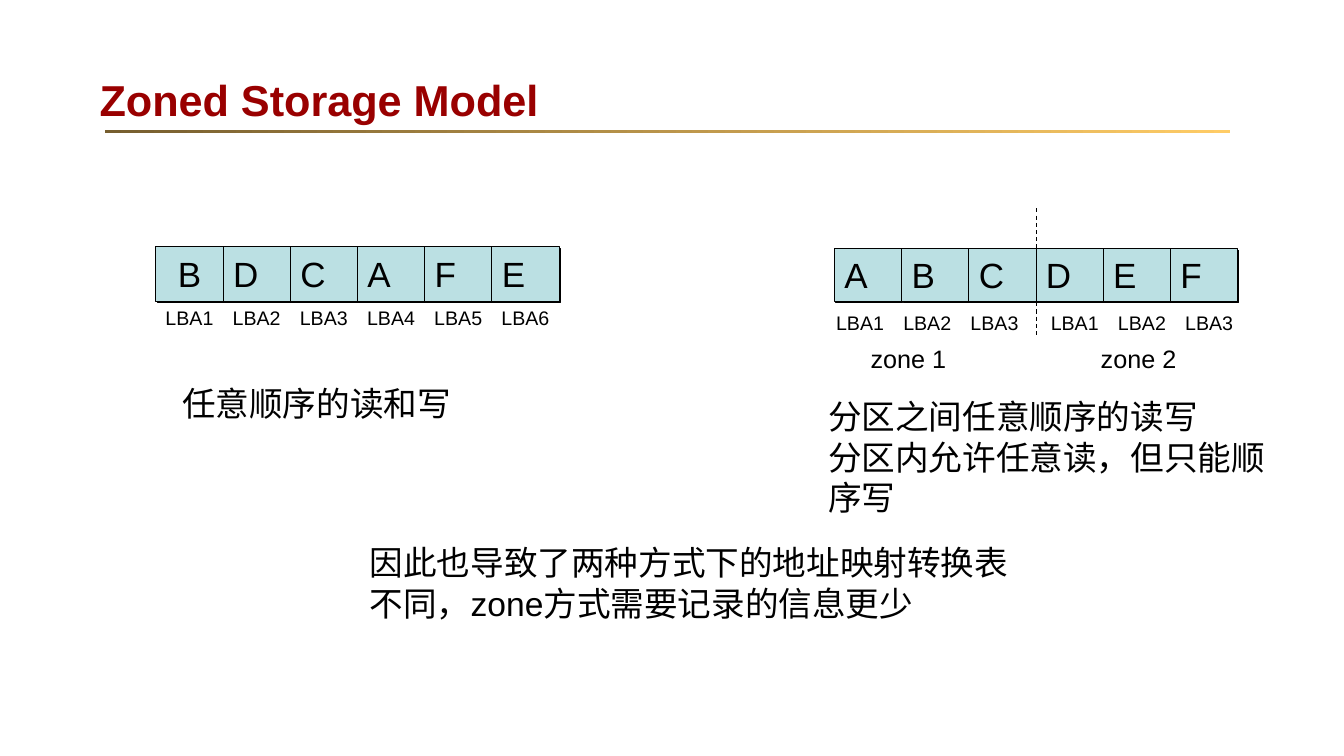
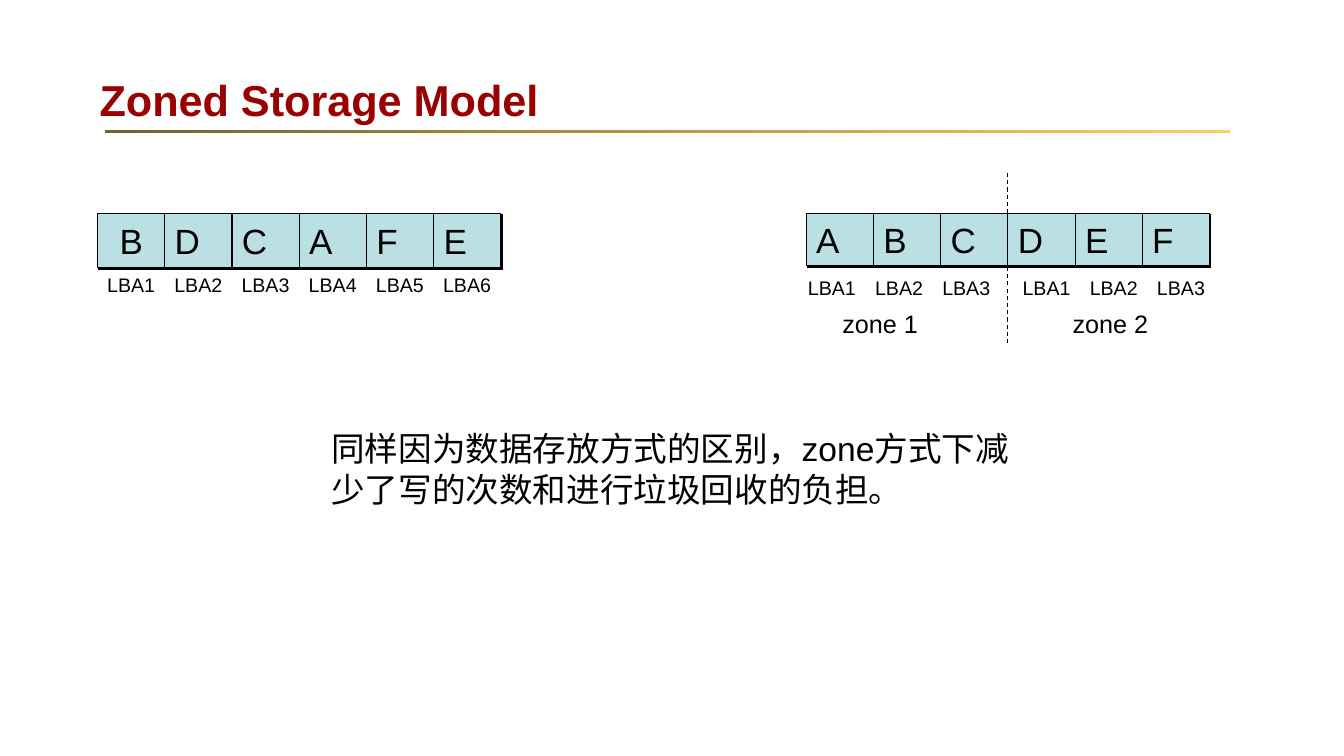
import pptx
import pptx.util
import pptx.dml.color
import pptx.enum.dml
import pptx.enum.shapes
import pptx.enum.text
import pptx.oxml
import pptx.oxml.ns

Cm = pptx.util.Cm
Pt = pptx.util.Pt
RGBColor = pptx.dml.color.RGBColor
Align = pptx.enum.text.PP_ALIGN
Anchor = pptx.enum.text.MSO_ANCHOR
RECTANGLE = pptx.enum.shapes.MSO_SHAPE.RECTANGLE

BLACK = RGBColor(0x00, 0x00, 0x00)
TITLE_RED = RGBColor(0x99, 0x00, 0x00)
BLOCK_BLUE = RGBColor(0xBB, 0xE0, 0xE3)
RULE_BROWN = RGBColor(0x76, 0x5E, 0x2F)
RULE_GOLD = RGBColor(0xFF, 0xCC, 0x66)
FONT = "Arial"

TITLE = "Zoned Storage Model"
RANDOM_BLOCKS = "BDCAFE"
ZONED_BLOCKS = "ABCDEF"
ZONES = ["zone 1", "zone 2"]
ZONE_SIZE = 3

SLIDES = [
    {
        "random_at": (3.93, 6.22),
        "zoned_at": (21.03, 6.27),
        "divider_below": 2.21,
        "notes": [
            ((4.34, 9.53, 8.86, 1.27), ["任意顺序的读和写"]),
            ((20.62, 9.86, 11.56, 3.33),
             ["分区之间任意顺序的读写", "分区内允许任意读，但只能顺序写"]),
            ((9.07, 13.54, 17.32, 2.31),
             ["因此也导致了两种方式下的地址映射转换表不同，zone方式需要记录的信息更少"]),
        ],
    },
    {
        "random_at": (2.46, 5.38),
        "zoned_at": (20.32, 5.38),
        "divider_below": 3.3,
        "notes": [
            ((8.1, 10.67, 17.63, 2.31),
             ["同样因为数据存放方式的区别，zone方式下减少了写的次数和进行垃圾回收的负担。"]),
        ],
    },
]

BLOCK_W = 10.16 / 6
RANDOM_H = 1.37
ZONED_H = 1.32
LABEL_W = 2.11
LABEL_H = 0.88
ZONED_LABEL_GAP = 0.13
ZONED_LABEL_SHIFTS = [-0.2, 0.13]
ZONE_NAME_X = 0.66
ZONE_NAME_Y = 2.26
ZONE_NAME_PITCH = 5.8
DIVIDER_ABOVE = 1.02

SHADOW = (
    '<a:effectLst %s><a:outerShdw dist="17780" dir="2700000" algn="ctr" rotWithShape="0">'
    '<a:srgbClr val="000000"/></a:outerShdw></a:effectLst>' % pptx.oxml.ns.nsdecls("a")
)
NO_EFFECTS = "<a:effectLst %s/>" % pptx.oxml.ns.nsdecls("a")


def write(frame, lines, size, color=BLACK, align=Align.LEFT, bold=False):
    frame.word_wrap = True
    for index, line in enumerate(lines):
        paragraph = frame.paragraphs[0] if index == 0 else frame.add_paragraph()
        paragraph.alignment = align
        run = paragraph.add_run()
        run.text = line
        run.font.name = FONT
        run.font.size = Pt(size)
        run.font.bold = bold
        run.font.color.rgb = color


def add_text(slide, box, lines, size, **style):
    frame = slide.shapes.add_textbox(*map(Cm, box)).text_frame
    write(frame, lines, size, **style)
    return frame


def add_heading(slide):
    rule = slide.shapes.add_shape(RECTANGLE, Cm(2.65), Cm(3.27), Cm(28.35), Cm(0.08))
    rule.shadow.inherit = False
    rule.line.fill.background()
    rule.fill.gradient()
    rule.fill.gradient_angle = 0
    for stop, color in zip(rule.fill.gradient_stops, (RULE_BROWN, RULE_GOLD)):
        stop.color.rgb = color
    title = add_text(slide, (2.26, 1.3, 29.87, 2.41), [TITLE], 30.9,
                     color=TITLE_RED, bold=True)
    title.vertical_anchor = Anchor.MIDDLE


def add_blocks(slide, left, top, height, letters, first_align=Align.LEFT):
    row = slide.shapes.add_group_shape()
    for index, letter in enumerate(letters):
        block = row.shapes.add_shape(RECTANGLE, Cm(left + index * BLOCK_W), Cm(top),
                                     Cm(BLOCK_W), Cm(height))
        block.fill.solid()
        block.fill.fore_color.rgb = BLOCK_BLUE
        block.line.color.rgb = BLACK
        block.line.width = Pt(0.75)
        block._element.spPr.append(pptx.oxml.parse_xml(SHADOW))
        write(block.text_frame, [letter], 25, align=Align.LEFT if index else first_align)


def add_address(slide, block_left, top, number):
    left = block_left + (BLOCK_W - LABEL_W) / 2
    add_text(slide, (left, top, LABEL_W, LABEL_H), [f"LBA{number}"], 14, align=Align.CENTER)


def add_random_storage(slide, left, top):
    add_blocks(slide, left, top, RANDOM_H, RANDOM_BLOCKS, Align.CENTER)
    for index in range(len(RANDOM_BLOCKS)):
        add_address(slide, left + index * BLOCK_W, top + RANDOM_H, index + 1)


def add_zoned_storage(slide, left, top, divider_below):
    add_blocks(slide, left, top, ZONED_H, ZONED_BLOCKS)
    for index in range(len(ZONED_BLOCKS)):
        zone, place = divmod(index, ZONE_SIZE)
        add_address(slide, left + index * BLOCK_W + ZONED_LABEL_SHIFTS[zone],
                    top + ZONED_H + ZONED_LABEL_GAP, place + 1)
    for zone, name in enumerate(ZONES):
        add_text(slide, (left + ZONE_NAME_X + zone * ZONE_NAME_PITCH, top + ZONE_NAME_Y,
                         3.71, 1.02), [name], 18)
    middle = Cm(left + ZONE_SIZE * BLOCK_W)
    divider = slide.shapes.add_connector(
        pptx.enum.shapes.MSO_CONNECTOR.STRAIGHT,
        middle, Cm(top - DIVIDER_ABOVE), middle, Cm(top + divider_below))
    divider.line.color.rgb = BLACK
    divider.line.width = Pt(0.75)
    divider.line.dash_style = pptx.enum.dml.MSO_LINE.DASH
    divider._element.spPr.append(pptx.oxml.parse_xml(NO_EFFECTS))


def main():
    deck = pptx.Presentation()
    deck.slide_width = Cm(33.87)
    deck.slide_height = Cm(19.05)
    for content in SLIDES:
        slide = deck.slides.add_slide(deck.slide_layouts[6])
        add_heading(slide)
        add_random_storage(slide, *content["random_at"])
        add_zoned_storage(slide, *content["zoned_at"], content["divider_below"])
        for box, lines in content["notes"]:
            add_text(slide, box, lines, 24)
    deck.save("out.pptx")


if __name__ == "__main__":
    main()
